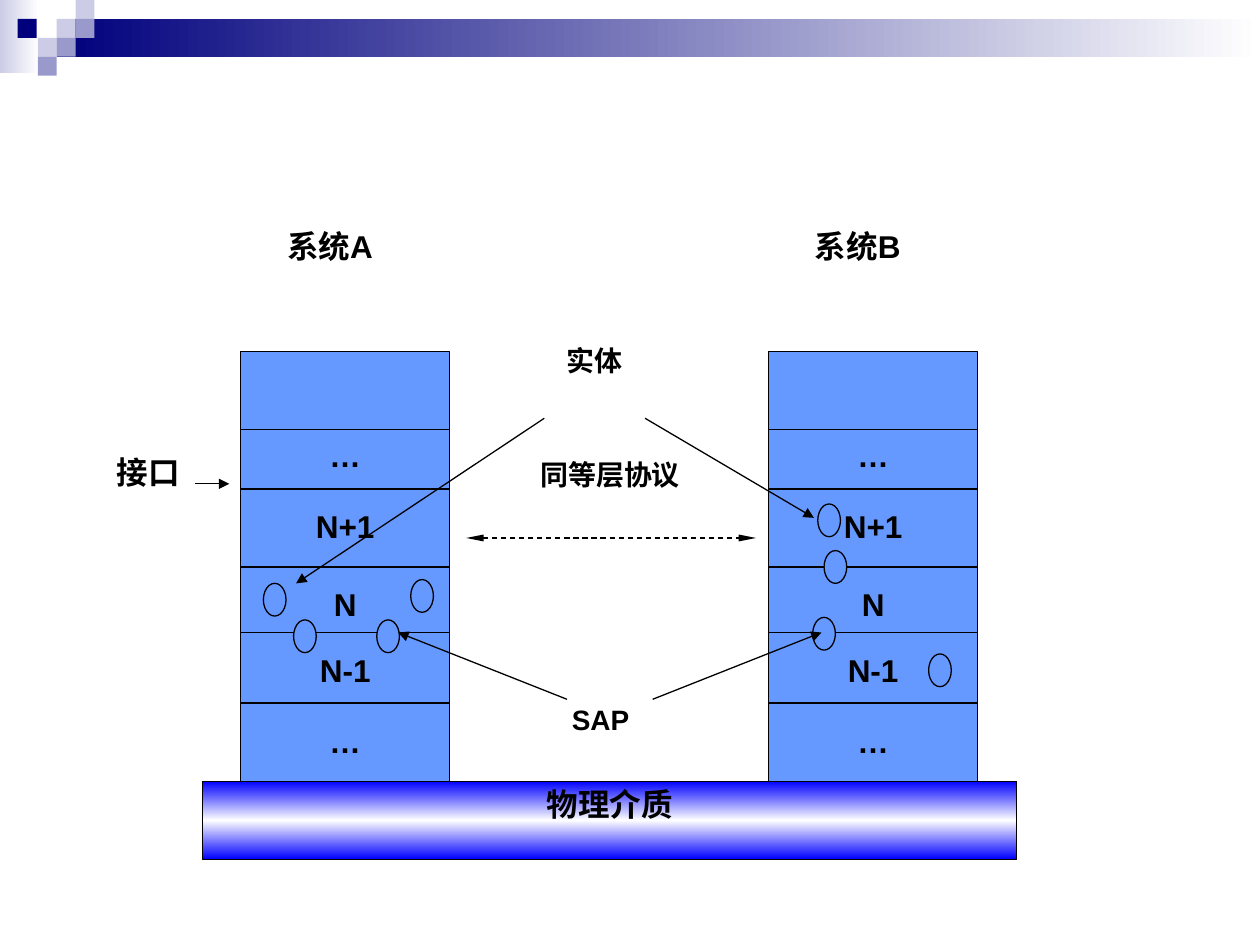
from dataclasses import dataclass

import pptx
import pptx.dml.color
import pptx.enum.dml
import pptx.enum.shapes
import pptx.enum.text
import pptx.oxml
import pptx.oxml.ns
import pptx.util
from copy import deepcopy
from pptx.util import Inches

COLORS = {
    "navy": "00007D", "lilac": "CCCCE6", "violet": "9999CC", "white": "FFFFFF",
    "layer": "6699FF", "medium": "0000FF", "black": "000000",
}
FONT = "Arial"
RECTANGLE = pptx.enum.shapes.MSO_SHAPE.RECTANGLE
OVAL = pptx.enum.shapes.MSO_SHAPE.OVAL
ALIGN = pptx.enum.text.PP_ALIGN
ANCHOR = pptx.enum.text.MSO_ANCHOR


@dataclass
class Box:
    left: float
    top: float
    width: float
    height: float

    def lengths(self) -> list:
        return [Inches(v) for v in (self.left, self.top, self.width, self.height)]


@dataclass
class Label:
    text: str
    box: Box
    size: int


@dataclass
class Arrow:
    start: tuple[float, float]
    end: tuple[float, float]
    peer: bool = False  # dashed, with a slim head at both ends


TILE = 0.15
TILES = [  # left, top, color
    (0.45, 0.15, "lilac"), (0.6, 0, "lilac"), (0.6, 0.15, "violet"),
    (0.3, 0.3, "lilac"), (0.14, 0.15, "navy"), (0.45, 0.3, "violet"),
    (0.3, 0.45, "violet"),
]

LAYER_WIDTH, LAYER_HEIGHT = 1.66, 0.62
LAYERS = [  # the empty top layer comes last, as it overlaps the next one
    ("…", 3.27), ("N+1", 3.88), ("N", 4.5), ("N-1", 5.02), ("…", 5.58), ("", 2.79),
]
SYSTEMS = {"系统A": 1.91, "系统B": 6.1}

ENTITIES = [
    (2.09, 4.63), (2.33, 4.92), (3.26, 4.6), (2.99, 4.92),
    (6.54, 4.37), (6.45, 4.9), (7.37, 5.19), (6.49, 4),
]
LABELS = [
    Label("接口", Box(0.83, 3.55, 0.8, 0.4), 18),
    Label("同等层协议", Box(4.19, 3.58, 1.65, 0.37), 16),
    Label("SAP", Box(4.44, 5.53, 0.81, 0.37), 16),
    Label("实体", Box(4.4, 2.68, 0.81, 0.37), 16),
]
ARROWS = [
    Arrow((3.7, 4.27), (6, 4.27), peer=True),
    Arrow((1.55, 3.84), (1.82, 3.84)),
    Arrow((4.5, 5.55), (3.16, 5.02)),
    Arrow((5.18, 5.55), (6.52, 5.02)),
    Arrow((4.32, 3.32), (2.35, 4.63)),
    Arrow((5.12, 3.32), (6.46, 4.11)),
]


def color(name: str) -> pptx.dml.color.RGBColor:
    return pptx.dml.color.RGBColor.from_string(COLORS[name])


def fill_shape(shape, names: list[str], angle: int) -> None:
    """Fill with one color, or with evenly spaced gradient stops."""
    if len(names) == 1:
        shape.fill.solid()
        shape.fill.fore_color.rgb = color(names[0])
        return
    shape.fill.gradient()
    shape.fill.gradient_angle = angle
    stop_list = shape._element.spPr.find(".//" + pptx.oxml.ns.qn("a:gsLst"))
    while len(stop_list) < len(names):
        stop_list.append(deepcopy(stop_list[0]))
    for index, (stop, name) in enumerate(zip(shape.fill.gradient_stops, names)):
        stop.position = index / (len(names) - 1)
        stop.color.rgb = color(name)


def add_block(slide, kind, box: Box, *fills: str, angle: int = 0, outlined: bool = True):
    shape = slide.shapes.add_shape(kind, *box.lengths())
    shape.shadow.inherit = False
    fill_shape(shape, list(fills), angle)
    if outlined:
        shape.line.color.rgb = color("black")
        shape.line.width = pptx.util.Pt(0.75)
    else:
        shape.line.fill.background()
    return shape


def write_text(shape, text: str, size: int, alignment, anchor, spacing: float = 1) -> None:
    frame = shape.text_frame
    frame.word_wrap = True
    frame.vertical_anchor = anchor
    paragraph = frame.paragraphs[0]
    paragraph.text = text
    paragraph.alignment = alignment
    paragraph.line_spacing = spacing
    paragraph.font.name = FONT
    paragraph.font.size = pptx.util.Pt(size)
    paragraph.font.bold = True
    paragraph.font.color.rgb = color("black")


def add_label(slide, label: Label) -> None:
    shape = slide.shapes.add_textbox(*label.box.lengths())
    write_text(shape, label.text, label.size, ALIGN.LEFT, ANCHOR.TOP)


def add_system(slide, name: str, left: float) -> None:
    for text, top in LAYERS:
        box = Box(left, top, LAYER_WIDTH, LAYER_HEIGHT)
        layer = add_block(slide, RECTANGLE, box, "layer")
        if text:
            spacing = 1.2 if top == LAYERS[0][1] else 0.96
            write_text(layer, text, 18, ALIGN.CENTER, ANCHOR.MIDDLE, spacing)
    add_label(slide, Label(name, Box(left + 0.27, 1.75, 1.16, 0.4), 18))


def add_arrow(slide, arrow: Arrow) -> None:
    points = [Inches(value) for value in arrow.start + arrow.end]
    connector = slide.shapes.add_connector(
        pptx.enum.shapes.MSO_CONNECTOR.STRAIGHT, *points)
    connector.line.color.rgb = color("black")
    connector.line.width = pptx.util.Pt(0.75)
    if arrow.peer:
        connector.line.dash_style = pptx.enum.dml.MSO_LINE.DASH
    properties = connector._element.spPr
    line = properties.find(pptx.oxml.ns.qn("a:ln"))
    width, length = ("sm", "lg") if arrow.peer else ("med", "med")
    for tag in ("headEnd", "tailEnd") if arrow.peer else ("tailEnd",):
        line.append(pptx.oxml.parse_xml(
            f'<a:{tag} {pptx.oxml.ns.nsdecls("a")} type="triangle" w="{width}" len="{length}"/>'))
    properties.append(pptx.oxml.parse_xml(f'<a:effectLst {pptx.oxml.ns.nsdecls("a")}/>'))


def main() -> None:
    presentation = pptx.Presentation()
    presentation.slide_width = Inches(10)
    presentation.slide_height = Inches(7.5)
    slide = presentation.slides.add_slide(presentation.slide_layouts[6])

    # Header band and tiles
    add_block(slide, RECTANGLE, Box(0, 0, 0.31, 0.58), "lilac", "white", outlined=False)
    add_block(slide, RECTANGLE, Box(0.45, 0.15, 9.55, 0.3), "navy", "white", outlined=False)
    for left, top, name in TILES:
        add_block(slide, RECTANGLE, Box(left, top, TILE, TILE), name, outlined=False)

    # Layer stacks on the physical medium
    for name, left in SYSTEMS.items():
        add_system(slide, name, left)
    medium = add_block(slide, RECTANGLE, Box(1.61, 6.2, 6.46, LAYER_HEIGHT),
                       "medium", "white", "medium", angle=90)
    write_text(medium, "物理介质", 18, ALIGN.CENTER, ANCHOR.TOP, 0.96)

    # Entities and service access points
    for left, top in ENTITIES:
        add_block(slide, OVAL, Box(left, top, 0.18, 0.26), "layer")

    # Arrows and their labels
    for arrow in ARROWS:
        add_arrow(slide, arrow)
    for label in LABELS:
        add_label(slide, label)

    presentation.save("out.pptx")


if __name__ == "__main__":
    main()
